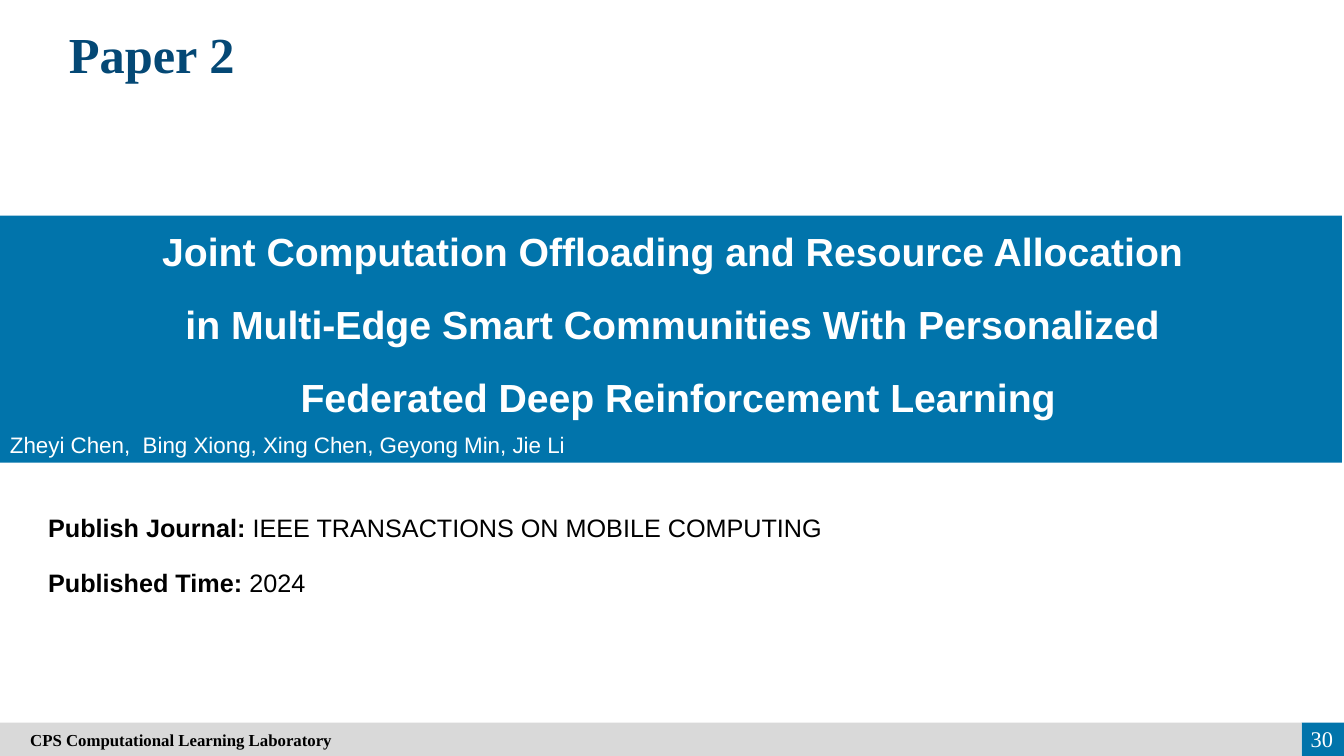
from pptx import Presentation
from pptx.dml.color import RGBColor
from pptx.enum.shapes import MSO_SHAPE
from pptx.enum.text import MSO_ANCHOR, PP_ALIGN
from pptx.util import Inches, Pt

# Content
TITLE = "Paper 2"
PAPER_LINES = [
    "Joint Computation Offloading and Resource Allocation ",
    "in Multi-Edge Smart Communities With Personalized ",
    "Federated Deep Reinforcement Learning",
]
AUTHORS = "Zheyi Chen,  Bing Xiong, Xing Chen, Geyong Min, Jie Li"
DETAILS = [
    ("Publish Journal:", " IEEE TRANSACTIONS ON MOBILE COMPUTING"),
    ("Published Time:", " 2024"),
]
LABORATORY = "CPS Computational Learning Laboratory"
PAGE_NUMBER = "30"

# Style
BLUE = RGBColor(0x01, 0x74, 0xAB)
NAVY = RGBColor(0x04, 0x48, 0x75)
GRAY = RGBColor(0xD9, 0xD9, 0xD9)
BLACK = RGBColor(0, 0, 0)
WHITE = RGBColor(0xFF, 0xFF, 0xFF)
SANS, SERIF = "Arial", "Times New Roman"

# Layout, in inches
WIDTH, HEIGHT = 13.33, 7.5
MARGIN = 0.38
BAND_TOP, BAND_HEIGHT = 2.14, 2.45
FOOTER_HEIGHT = 0.33
FOOTER_TOP = HEIGHT - FOOTER_HEIGHT
NUMBER_WIDTH = 0.42
DETAIL_TOP, DETAIL_STEP = 5.03, 0.55

deck = Presentation()
deck.slide_width, deck.slide_height = Inches(WIDTH), Inches(HEIGHT)
page = deck.slides.add_slide(deck.slide_layouts[5])


def add_bar(left, top, width, height, color):
    bar = page.shapes.add_shape(
        MSO_SHAPE.RECTANGLE, *map(Inches, (left, top, width, height)))
    bar.shadow.inherit = False
    bar.fill.solid()
    bar.fill.fore_color.rgb = color
    bar.line.fill.background()
    return bar


def add_box(left, top, width, height):
    box = page.shapes.add_textbox(*map(Inches, (left, top, width, height)))
    box.text_frame.word_wrap = True
    return box


def write(shape, lines, size, face, color, bold=False,
          align=PP_ALIGN.LEFT, anchor=MSO_ANCHOR.TOP, spacing=1.0):
    frame = shape.text_frame
    frame.text = "\n".join(lines)
    frame.vertical_anchor = anchor
    for para in frame.paragraphs:
        para.alignment = align
        para.line_spacing = spacing
        para.font.size, para.font.name = Pt(size), face
        para.font.bold, para.font.color.rgb = bold, color


# Slide title
title = page.shapes.title
title.left, title.top, title.width, title.height = map(
    Inches, (MARGIN, 0.18, 2.25, 0.71))
write(title, [TITLE], 36, SERIF, NAVY, bold=True, align=PP_ALIGN.CENTER)

# Band with the paper's name and authors
add_bar(0, BAND_TOP, WIDTH - 0.02, BAND_HEIGHT, BLUE)
write(add_box(0.05, BAND_TOP - 0.2, 13.35, 2.22), PAPER_LINES, 28, SANS, WHITE,
      bold=True, align=PP_ALIGN.CENTER, spacing=1.56)
write(add_box(0, 4.23, 9.08, 0.37), [AUTHORS], 16, SANS, WHITE)

# Publication details
for row, (label, value) in enumerate(DETAILS):
    box = add_box(MARGIN, DETAIL_TOP + row * DETAIL_STEP, 9.57, 0.4)
    write(box, [label], 18, SANS, BLACK)
    para = box.text_frame.paragraphs[0]
    para.runs[0].font.bold = True
    para.add_run().text = value

# Footer
number_left = WIDTH - NUMBER_WIDTH
add_bar(number_left, FOOTER_TOP, NUMBER_WIDTH, FOOTER_HEIGHT, BLUE)
footer = add_bar(0, FOOTER_TOP, number_left, FOOTER_HEIGHT, GRAY)
footer.text_frame.margin_left = Inches(0.3)
write(footer, [LABORATORY], 12, SERIF, BLACK, bold=True,
      anchor=MSO_ANCHOR.MIDDLE)
write(add_box(12.69, 7.13, 0.63, 0.4), [PAGE_NUMBER], 16, SERIF, WHITE,
      align=PP_ALIGN.RIGHT, anchor=MSO_ANCHOR.MIDDLE)

deck.save("out.pptx")
